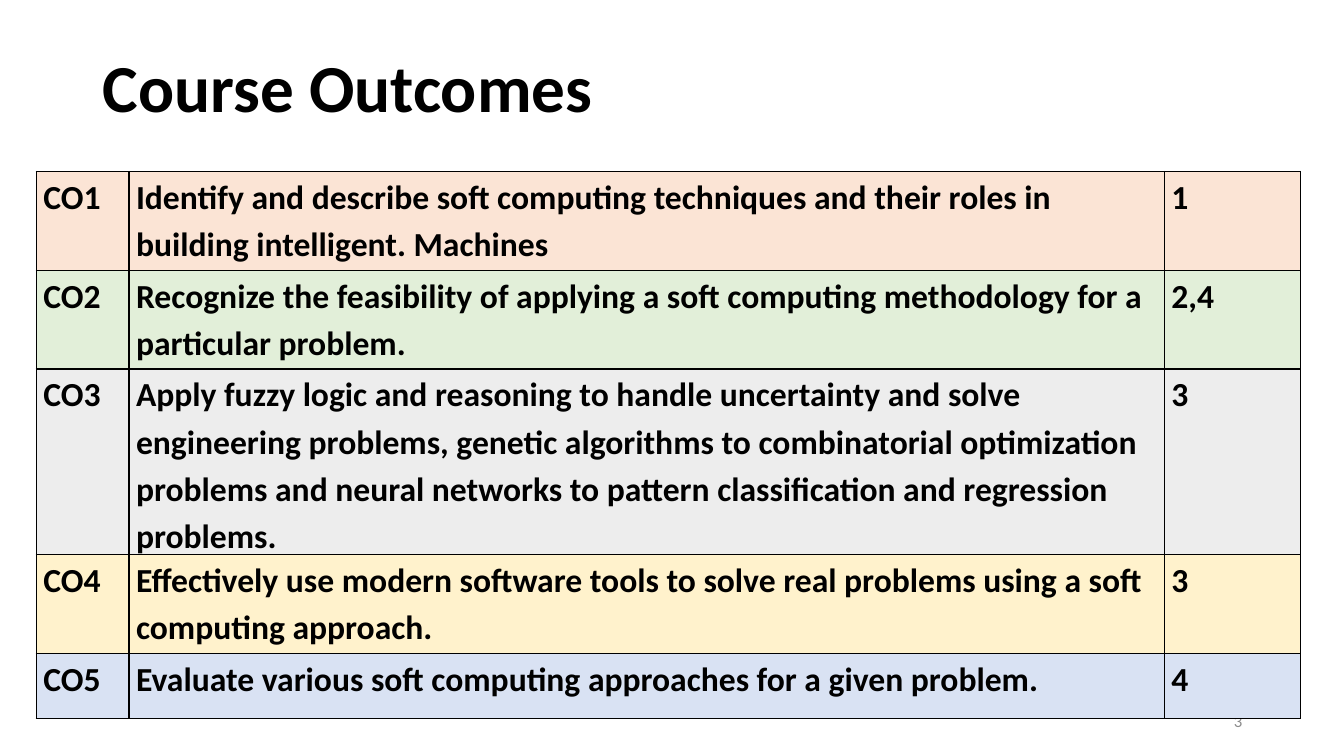
"""Build the Course Outcomes slide: a title, a table of outcomes and a page number."""
from dataclasses import dataclass

from lxml.etree import fromstring
from pptx import Presentation
from pptx.dml.color import RGBColor
from pptx.enum.text import MSO_ANCHOR as Anchor, PP_ALIGN as Align
from pptx.util import Inches, Pt

HEADING = "Course Outcomes"
PAGE_NUMBER = "3"
OUTCOMES = [
    ("CO1", "Identify and describe soft computing techniques and their roles in "
            "building intelligent. Machines", "1"),
    ("CO2", "Recognize the feasibility of applying a soft computing methodology for a "
            "particular problem.", "2,4"),
    ("CO3", "Apply fuzzy logic and reasoning to handle uncertainty and solve engineering "
            "problems, genetic algorithms to combinatorial optimization problems and neural "
            "networks to pattern classification and regression problems.", "3"),
    ("CO4", "Effectively use modern software tools to solve real problems using a soft "
            "computing approach.", "3"),
    ("CO5", "Evaluate various soft computing approaches for a given problem.", "4"),
]
COLUMN_WIDTHS = (0.92, 10.27, 1.35)
ROW_HEIGHTS = (0.98, 0.98, 1.63, 0.98, 0.65)


@dataclass(frozen=True)
class Theme:
    font: str = "Calibri"
    ink: str = "000000"
    muted: str = "8C8C8C"
    bands: tuple = ("FBE4D5", "E2EFD9", "EDEDED", "FFF2CC", "D9E2F3")
    heading_size: int = 48
    outcome_size: int = 24
    number_size: int = 12
    border: float = 1


THEME = Theme()
DRAWING_NS = "http://schemas.openxmlformats.org/drawingml/2006/main"


def write(frame, text, *, size, color=THEME.ink, bold=True, align=Align.LEFT,
          anchor=Anchor.TOP, spacing=1.0, after=0):
    frame.word_wrap = True
    frame.vertical_anchor = anchor
    paragraph = frame.paragraphs[0]
    paragraph.alignment = align
    paragraph.line_spacing = spacing
    paragraph.space_after = Pt(after)
    run = paragraph.add_run()
    run.text = text
    run.font.name = THEME.font
    run.font.size = Pt(size)
    run.font.bold = bold
    run.font.color.rgb = RGBColor.from_string(color)


def place(part, left, top, width, height):
    part.left, part.top = Inches(left), Inches(top)
    part.width, part.height = Inches(width), Inches(height)


def add_borders(cell):
    properties = cell._tc.get_or_add_tcPr()
    for position, side in enumerate("LRTB"):
        properties.insert(position, fromstring(
            f'<a:ln{side} xmlns:a="{DRAWING_NS}" w="{Pt(THEME.border)}"><a:solidFill>'
            f'<a:srgbClr val="{THEME.ink}"/></a:solidFill></a:ln{side}>'))


def fill_cell(cell, text, band, after):
    cell.margin_left = cell.margin_right = Inches(0.07)
    cell.margin_top = cell.margin_bottom = 0
    cell.fill.solid()
    cell.fill.fore_color.rgb = RGBColor.from_string(band)
    add_borders(cell)
    write(cell.text_frame, text, size=THEME.outcome_size, spacing=1.15, after=after)


def add_outcomes(slide):
    grid = slide.shapes.add_table(
        len(OUTCOMES), len(COLUMN_WIDTHS), Inches(0.36), Inches(1.7),
        Inches(sum(COLUMN_WIDTHS)), Inches(sum(ROW_HEIGHTS))).table
    grid.first_row = grid.horz_banding = False
    for column, width in zip(grid.columns, COLUMN_WIDTHS):
        column.width = Inches(width)
    for row, height, outcome, band in zip(grid.rows, ROW_HEIGHTS, OUTCOMES, THEME.bands):
        row.height = Inches(height)
        for cell, text in zip(row.cells, outcome):
            is_description = text == outcome[1]
            after = 0 if is_description and outcome != OUTCOMES[-1] else 10
            fill_cell(cell, text, band, after)


def main():
    deck = Presentation()
    deck.slide_width, deck.slide_height = Inches(13.33), Inches(7.5)
    slide = deck.slides.add_slide(deck.slide_layouts[5])

    heading = slide.shapes.title
    place(heading, 0.92, 0.5, 7.38, 0.81)
    write(heading.text_frame, HEADING, size=THEME.heading_size, anchor=Anchor.BOTTOM,
          spacing=0.9)

    number = slide.shapes.add_textbox(Inches(9.42), Inches(6.95), Inches(3), Inches(0.4))
    write(number.text_frame, PAGE_NUMBER, size=THEME.number_size, color=THEME.muted,
          bold=False, align=Align.RIGHT, anchor=Anchor.MIDDLE)

    add_outcomes(slide)
    deck.save("out.pptx")


if __name__ == "__main__":
    main()
